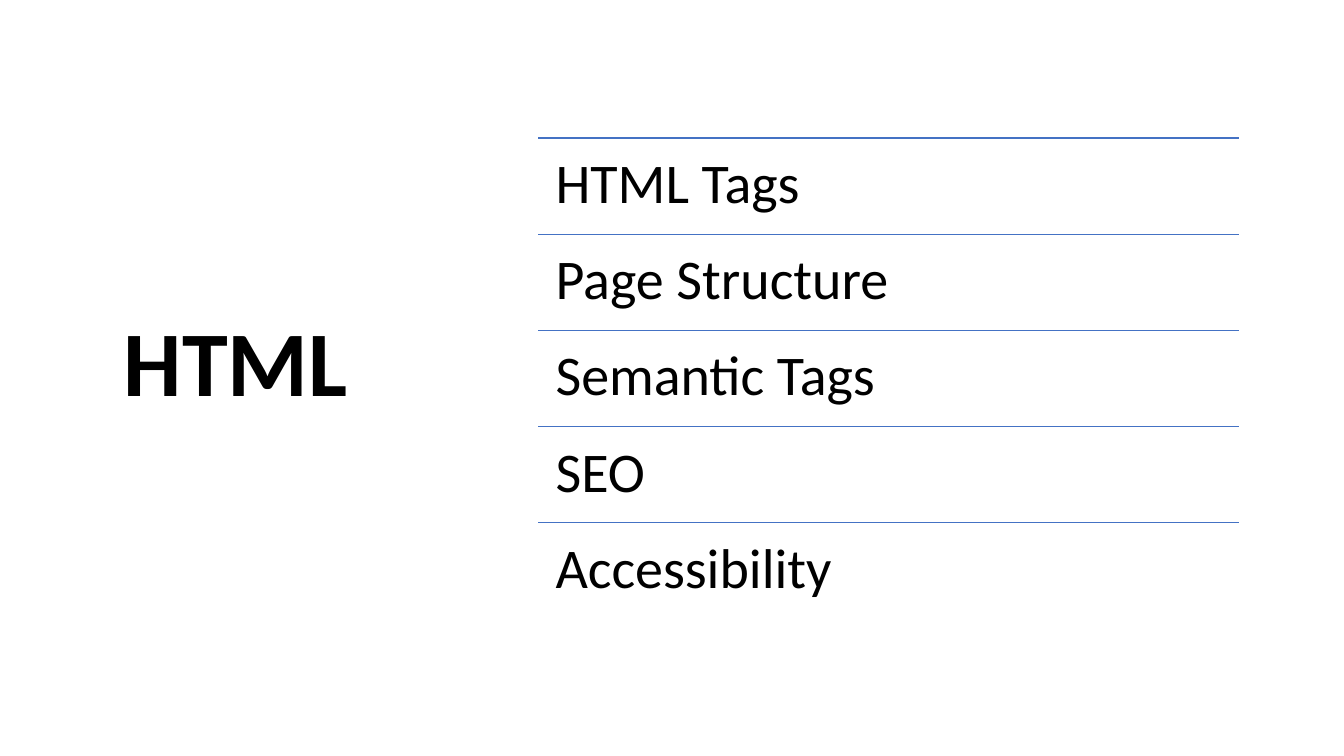
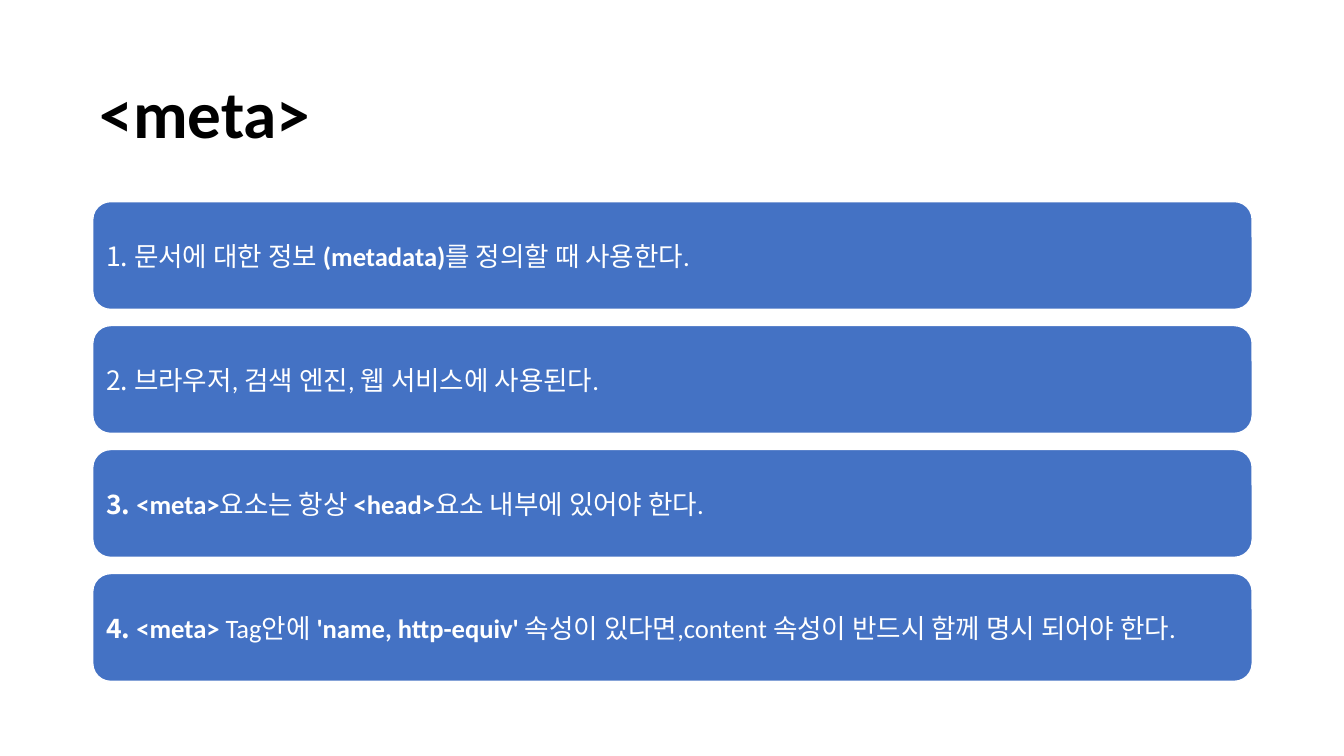
from dataclasses import dataclass

from lxml import etree
from pptx import Presentation
from pptx.dml.color import RGBColor
from pptx.enum import shapes, text
from pptx.oxml import ns
from pptx.util import Inches, Pt


@dataclass(frozen=True)
class Theme:
    accent: RGBColor = RGBColor(0x44, 0x72, 0xC4)
    ink: RGBColor = RGBColor(0, 0, 0)
    paper: RGBColor = RGBColor(0xFF, 0xFF, 0xFF)
    font: str = "Calibri"
    korean: str = "Noto Sans CJK KR"
    cover_size: int = 66
    title_size: int = 48
    topic_size: int = 40
    card_size: int = 19
    line_width: int = 1


THEME = Theme()


def add_run(p, content, size, color, bold=False, font=THEME.font):
    r = p.add_run()
    r.text = content
    r.font.size = Pt(size)
    r.font.bold = bold
    r.font.color.rgb = color
    r.font.name = font
    ea = etree.SubElement(r.font._element, ns.qn("a:ea"))
    ea.set("typeface", THEME.korean)


class Deck:
    def __init__(self, theme):
        self.theme = theme
        self.prs = Presentation()
        self.prs.slide_width = Inches(13.33)
        self.prs.slide_height = Inches(7.5)
        self.s = None

    def new_slide(self):
        self.s = self.prs.slides.add_slide(self.prs.slide_layouts[6])

    def frame(self, sp, inset, anchor, spacing=1.0):
        tf = sp.text_frame
        tf.word_wrap = True
        tf.vertical_anchor = anchor
        tf.margin_left = tf.margin_right = Inches(inset[0])
        tf.margin_top = tf.margin_bottom = Inches(inset[1])
        p = tf.paragraphs[0]
        p.alignment = text.PP_ALIGN.LEFT
        p.line_spacing = spacing
        return p

    def label(self, box, content, size, inset, anchor, bold=False):
        sp = self.s.shapes.add_textbox(*map(Inches, box))
        p = self.frame(sp, inset, anchor, 0.9)
        add_run(p, content, size, self.theme.ink, bold=bold)

    def title(self, box, content, size):
        self.label(box, content, size, (0.1, 0.05), text.MSO_ANCHOR.MIDDLE, bold=True)

    def rule(self, x, y, width):
        line = self.s.shapes.add_connector(
            shapes.MSO_CONNECTOR.STRAIGHT,
            Inches(x), Inches(y), Inches(x + width), Inches(y))
        line.line.color.rgb = self.theme.accent
        line.line.width = Pt(self.theme.line_width)
        etree.SubElement(line._element.spPr, ns.qn("a:effectLst"))

    def topics(self, x, y, width, height, items):
        step = height / len(items)
        for i, item in enumerate(items):
            top = y + i * step
            self.rule(x, top, width)
            self.label((x, top, width, step), item, self.theme.topic_size,
                       (0.17, 0.17), text.MSO_ANCHOR.TOP)

    def card(self, box, number, parts):
        t = self.theme
        sp = self.s.shapes.add_shape(
            shapes.MSO_SHAPE.ROUNDED_RECTANGLE, *map(Inches, box))
        sp.shadow.inherit = False
        sp.fill.solid()
        sp.fill.fore_color.rgb = t.accent
        sp.line.color.rgb = t.paper
        sp.line.width = Pt(t.line_width)
        p = self.frame(sp, (0.08, 0.08), text.MSO_ANCHOR.MIDDLE)
        add_run(p, f"{number}. ", t.card_size, t.paper,
                bold=parts[0][1], font=t.korean)
        for content, bold in parts:
            add_run(p, content, t.card_size, t.paper, bold=bold)

    def cards(self, x, y, width, height, step, items):
        for i, parts in enumerate(items):
            self.card((x, y + i * step, width, height), i + 1, parts)


TOPICS = ["HTML Tags", "Page Structure", "Semantic Tags", "SEO", "Accessibility"]

META_NOTES = [
    [("문서에 대한 정보 ", False), ("(metadata)", True),
     ("를 정의할 때 사용한다.", False)],
    [("브라우저, 검색 엔진, 웹 서비스에 사용된다.", False)],
    [("<meta>", True), ("요소는 항상 ", False), ("<head>", True),
     ("요소 내부에 있어야 한다.", False)],
    [("<meta>", True), (" Tag안에 ", False), ("'name, http-equiv' ", True),
     ("속성이 있다면,content 속성이 반드시 함께 명시 되어야 한다.", False)],
]


def main():
    deck = Deck(THEME)

    deck.new_slide()
    deck.title((1.13, 2.91, 3.45, 1.45), "HTML", THEME.cover_size)
    deck.topics(5.34, 1.37, 6.95, 4.77, TOPICS)

    deck.new_slide()
    deck.title((0.89, 0.43, 11.5, 1.45), "<meta>", THEME.title_size)
    deck.cards(0.92, 2, 11.5, 1.07, 1.23, META_NOTES)

    deck.prs.save("out.pptx")


if __name__ == "__main__":
    main()
